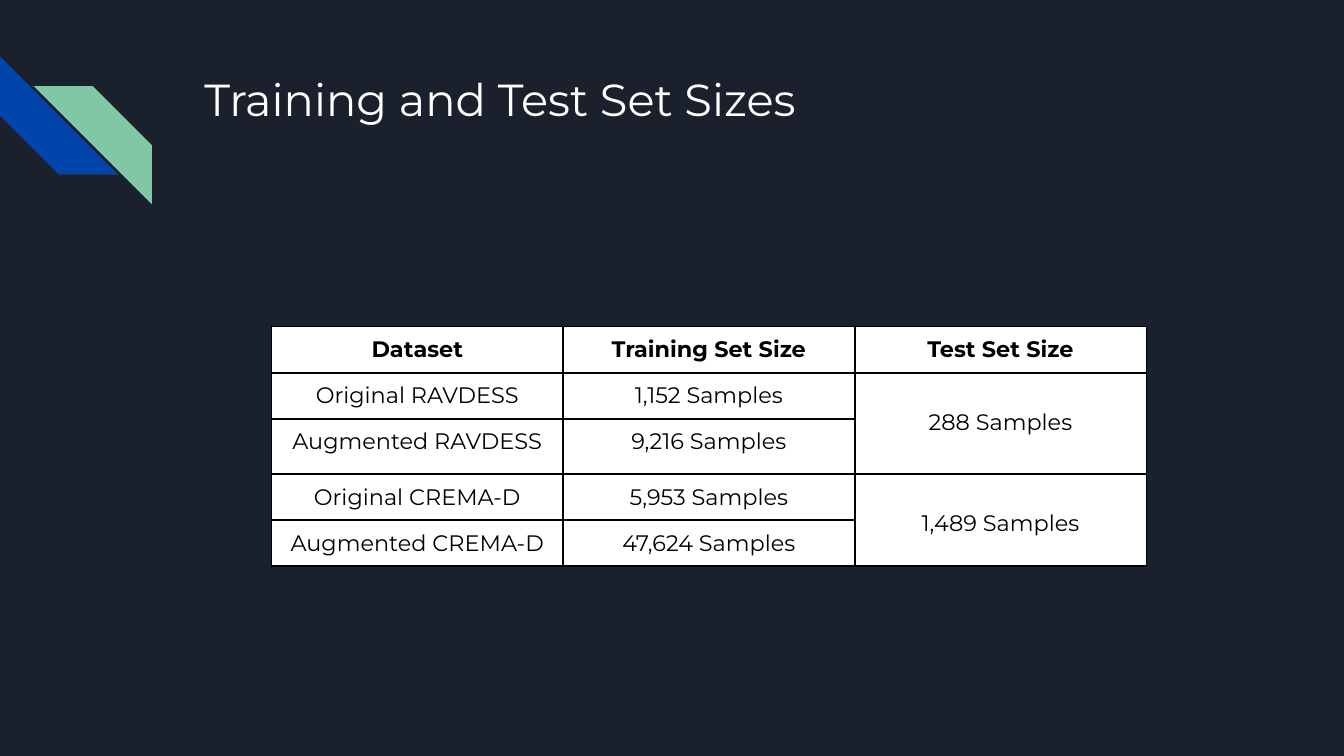
"""Build the slide on training and test set sizes."""
from lxml import etree
from pptx import Presentation
from pptx.dml.color import RGBColor
from pptx.enum import shapes, text
from pptx.oxml import ns
from pptx.util import Inches, Pt

COLORS = {
    "background": "1B212C",
    "blue": "0145AC",
    "green": "82C7A5",
    "white": "FFFFFF",
    "black": "000000",
}
FONT = "Montserrat"
SLIDE_WIDTH = 10
HEADINGS = ["Dataset", "Training Set Size", "Test Set Size"]
DATASETS = [
    ("Original RAVDESS", "1,152 Samples", "288 Samples"),
    ("Augmented RAVDESS", "9,216 Samples", ""),
    ("Original CREMA-D", "5,953 Samples", "1,489 Samples"),
    ("Augmented CREMA-D", "47,624 Samples", ""),
]
COLUMN_WIDTH = 2.17
ROW_HEIGHTS = [0.34, 0.34, 0.41, 0.34, 0.34]
PADDING = 0.07
LINE_HEIGHT = 0.2


def rgb(name):
    return RGBColor.from_string(COLORS[name])


def apply_format(target, values):
    for attribute, value in values.items():
        setattr(target, attribute, value)


def write(frame, wording, size, color, align, bold=False):
    paragraph = frame.paragraphs[0]
    paragraph.alignment = align
    run = paragraph.add_run()
    run.text = wording
    apply_format(run.font, {"name": FONT, "size": Pt(size), "bold": bold})
    run.font.color.rgb = rgb(color)


def add_stripe(slide, left, top, color, rotation=0, flipped=False):
    stripe = slide.shapes.add_shape(
        shapes.MSO_SHAPE.DIAGONAL_STRIPE,
        Inches(left), Inches(top), Inches(0.88), Inches(0.88))
    stripe.rotation = rotation
    stripe.shadow.inherit = False
    stripe.fill.solid()
    stripe.fill.fore_color.rgb = rgb(color)
    stripe.line.fill.background()
    if flipped:
        stripe.element.spPr.find(ns.qn("a:xfrm")).set("flipH", "1")


def set_title(slide, wording):
    title = slide.shapes.title
    apply_format(title, {
        "left": Inches(1.42), "top": Inches(0.43),
        "width": Inches(7.7), "height": Inches(1),
    })
    sides = ("left", "top", "right", "bottom")
    apply_format(title.text_frame, {
        "vertical_anchor": text.MSO_ANCHOR.TOP,
        "auto_size": text.MSO_AUTO_SIZE.NONE,
        "word_wrap": True,
        **{f"margin_{side}": Inches(0.1) for side in sides},
    })
    write(title.text_frame, wording, 24, "white", text.PP_ALIGN.LEFT)


def add_borders(cell):
    properties = cell._tc.get_or_add_tcPr()
    for side in ("lnL", "lnR", "lnT", "lnB"):
        border = etree.SubElement(properties, ns.qn(f"a:{side}"), w=str(Pt(1)))
        fill = etree.SubElement(border, ns.qn("a:solidFill"))
        etree.SubElement(fill, ns.qn("a:srgbClr"), val=COLORS["black"])


def format_cell(cell, extra_top):
    add_borders(cell)
    cell.fill.solid()
    cell.fill.fore_color.rgb = rgb("white")
    apply_format(cell, {
        "margin_left": Inches(PADDING),
        "margin_right": Inches(PADDING),
        "margin_top": Inches(PADDING + extra_top),
        "margin_bottom": Inches(PADDING),
        "vertical_anchor": text.MSO_ANCHOR.TOP,
    })


def add_size_table(slide):
    rows = [HEADINGS, *DATASETS]
    sizes = slide.shapes.add_table(
        len(rows), len(HEADINGS), Inches(2.02), Inches(2.43),
        Inches(COLUMN_WIDTH * len(HEADINGS)), Inches(sum(ROW_HEIGHTS))).table
    sizes.horz_banding = False
    for column in sizes.columns:
        column.width = Inches(COLUMN_WIDTH)
    for row, height in zip(sizes.rows, ROW_HEIGHTS):
        row.height = Inches(height)
    for top in (1, 3):
        sizes.cell(top, 2).merge(sizes.cell(top + 1, 2))
    for r, wordings in enumerate(rows):
        for c, wording in enumerate(wordings):
            cell = sizes.cell(r, c)
            format_cell(cell, LINE_HEIGHT if cell.is_merge_origin else 0)
            if wording:
                write(cell.text_frame, wording, 12, "black",
                      text.PP_ALIGN.CENTER, bold=r == 0)


def main():
    deck = Presentation()
    apply_format(deck, {
        "slide_width": Inches(SLIDE_WIDTH),
        "slide_height": Inches(SLIDE_WIDTH * 9 / 16),
    })
    slide = deck.slides.add_slide(deck.slide_layouts[5])
    slide.background.fill.solid()
    slide.background.fill.fore_color.rgb = rgb("background")
    add_stripe(slide, 0, 0.42, "blue", rotation=270)
    add_stripe(slide, 0.25, 0.64, "green", flipped=True)
    set_title(slide, "Training and Test Set Sizes")
    add_size_table(slide)
    deck.save("out.pptx")


if __name__ == "__main__":
    main()
